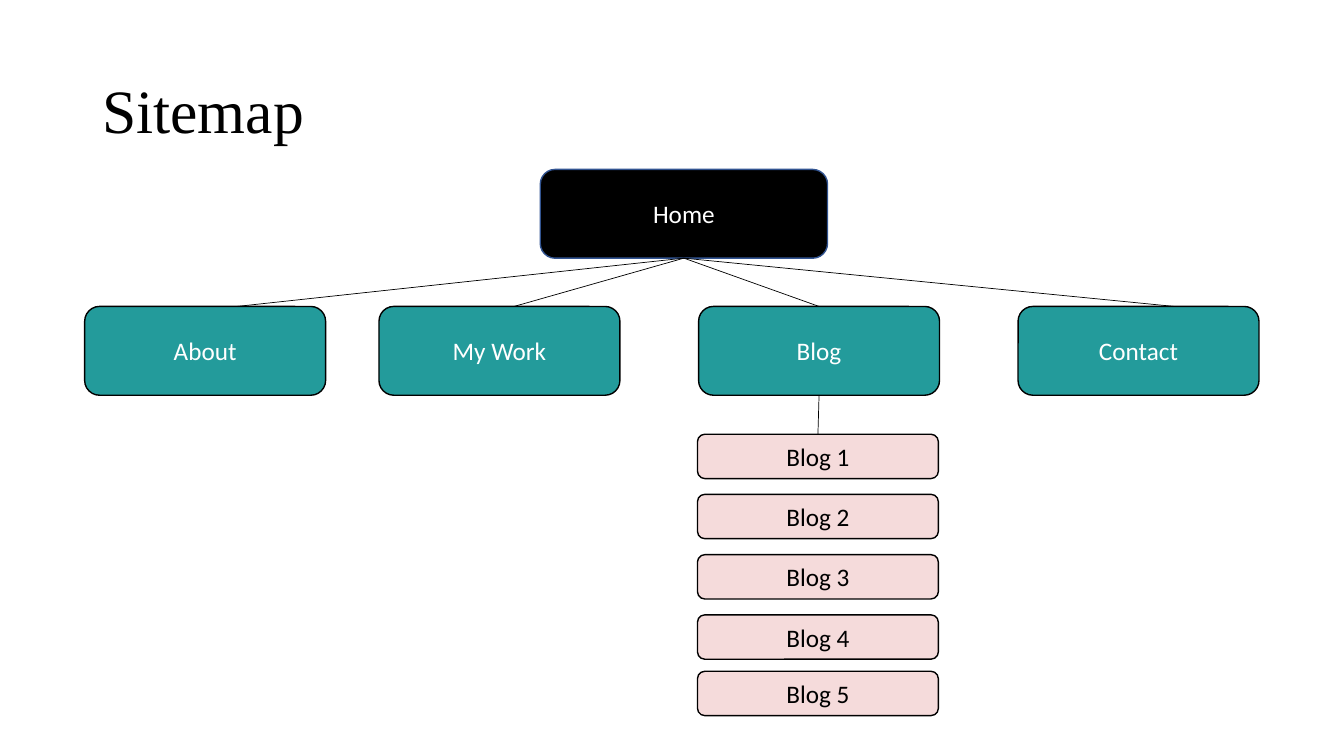
from lxml.etree import SubElement
from pptx import Presentation
from pptx.dml.color import RGBColor
from pptx.enum.shapes import MSO_CONNECTOR, MSO_SHAPE
from pptx.enum.text import MSO_ANCHOR, PP_ALIGN
from pptx.oxml.ns import qn
from pptx.util import Pt

BLACK = RGBColor(0x00, 0x00, 0x00)
WHITE = RGBColor(0xFF, 0xFF, 0xFF)
NAVY = RGBColor(0x32, 0x54, 0x91)
TEAL = RGBColor(0x23, 0x9B, 0x9B)
PINK = RGBColor(0xF5, 0xDB, 0xDB)

BOTTOM, TOP = 2, 0
BOX_WIDTH = 172.1
PAGE_TOP = 218.9
PAGE_HEIGHT = 63.4
POST_LEFT = 498.2


def add_text(shape, text, size=18, font="Calibri", color=WHITE,
             align=PP_ALIGN.CENTER, line_spacing=1.0):
    frame = shape.text_frame
    frame.word_wrap = True
    frame.vertical_anchor = MSO_ANCHOR.MIDDLE
    paragraph = frame.paragraphs[0]
    paragraph.alignment = align
    paragraph.line_spacing = line_spacing
    run = paragraph.add_run()
    run.text = text
    run.font.size = Pt(size)
    run.font.name = font
    run.font.color.rgb = color


def add_box(text, left, top, width, height, fill, line=BLACK, color=WHITE):
    shape = slide.shapes.add_shape(
        MSO_SHAPE.ROUNDED_RECTANGLE, Pt(left), Pt(top), Pt(width), Pt(height))
    shape.shadow.inherit = False
    shape.fill.solid()
    shape.fill.fore_color.rgb = fill
    shape.line.color.rgb = line
    shape.line.width = Pt(1)
    add_text(shape, text, color=color)
    return shape


presentation = Presentation()
presentation.slide_width = Pt(960)
presentation.slide_height = Pt(540)
slide = presentation.slides.add_slide(presentation.slide_layouts[6])

title = slide.shapes.add_textbox(Pt(66), Pt(28.8), Pt(828), Pt(104.4))
add_text(title, "Sitemap", size=44, font="Times New Roman", color=BLACK,
         align=PP_ALIGN.LEFT, line_spacing=0.9)

home = add_box("Home", 385.9, 121, 205.2, PAGE_HEIGHT, BLACK, line=NAVY)

pages = {}
for name, left in [("About", 60.5), ("My Work", 270.7), ("Blog", 499), ("Contact", 727.2)]:
    pages[name] = add_box(name, left, PAGE_TOP, BOX_WIDTH, PAGE_HEIGHT, TEAL)

posts = []
for number, top in enumerate([310.2, 353.1, 396.2, 439.2, 479.5], start=1):
    posts.append(add_box(f"Blog {number}", POST_LEFT, top, BOX_WIDTH, 31.7, PINK, color=BLACK))

links = [
    (home, None, 169.2),
    (home, None, 367.2),
    (home, pages["Blog"], 585),
    (home, None, 838.8),
    (pages["Blog"], posts[0], 585),
]
for parent, child, end_left in links:
    connector = slide.shapes.add_connector(
        MSO_CONNECTOR.STRAIGHT, Pt(488.5), Pt(184.4), Pt(end_left), Pt(PAGE_TOP))
    connector.begin_connect(parent, BOTTOM)
    if child is not None:
        connector.end_connect(child, TOP)
    connector.line.color.rgb = BLACK
    connector.line.width = Pt(0.5)
    SubElement(connector._element.spPr, qn("a:effectLst"))

presentation.save("out.pptx")
